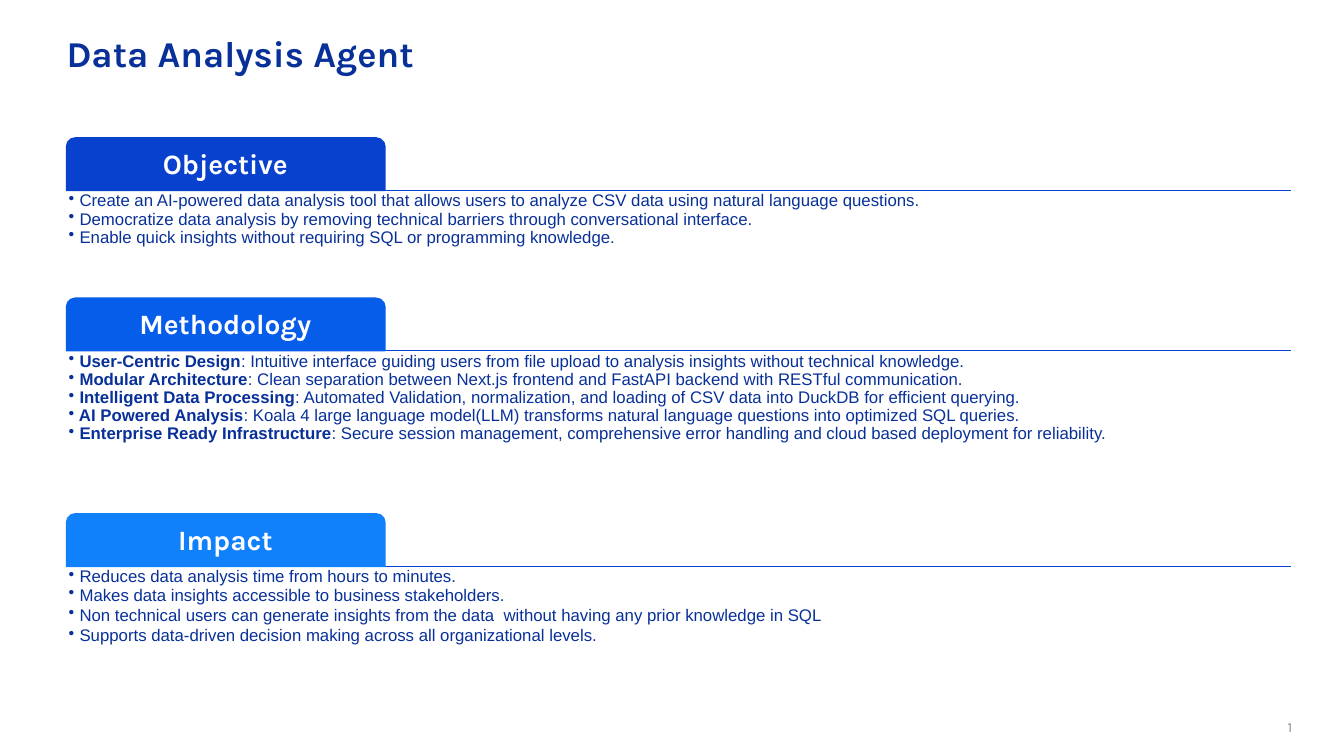
from lxml import etree
from pptx import Presentation
from pptx.dml.color import RGBColor
from pptx.enum import shapes, text
from pptx.oxml import ns
from pptx.util import Pt

NAVY = RGBColor(0x08, 0x30, 0x99)
ROYAL = RGBColor(0x08, 0x41, 0xCD)
BLUE = RGBColor(0x06, 0x5D, 0xEA)
SKY = RGBColor(0x10, 0x80, 0xFB)
WHITE = RGBColor(0xFF, 0xFF, 0xFF)
GREY = RGBColor(0x88, 0x88, 0x88)

LEFT, WIDTH = 47.5, 875
TAB_WIDTH, TAB_HEIGHT = 227.5, 37.5

# Heading, tab colour, rule position, body height, bullets as
# (bold lead, text, space before)
SECTIONS = [
    ("Objective", ROYAL, 136, 75, [
        ("", "Create an AI-powered data analysis tool that allows users to analyze CSV data using natural language questions.", 0),
        ("", "Democratize data analysis by removing technical barriers through conversational interface.", 0),
        ("", "Enable quick insights without requiring SQL or programming knowledge.", 0),
    ]),
    ("Methodology", BLUE, 250.5, 114.5, [
        ("User-Centric Design", ": Intuitive interface guiding users from file upload to analysis insights without technical knowledge.", 0),
        ("Modular Architecture", ": Clean separation between Next.js frontend and FastAPI backend with RESTful communication.", 0),
        ("Intelligent Data Processing", ": Automated Validation, normalization, and loading of CSV data into DuckDB for efficient querying.", 0),
        ("AI Powered Analysis", ": Koala 4 large language model(LLM) transforms natural language questions into optimized SQL queries.", 0),
        ("Enterprise Ready Infrastructure", ": Secure session management, comprehensive error handling and cloud based deployment for reliability.", 0),
    ]),
    ("Impact", SKY, 404.5, 121, [
        ("", "Reduces data analysis time from hours to minutes.", 0),
        ("", "Makes data insights accessible to business stakeholders.", 0),
        ("", "Non technical users can generate insights from the data  without having any prior knowledge in SQL", 1.6),
        ("", "Supports data-driven decision making across all organizational levels.", 1.6),
    ]),
]


def set_frame(frame, inset, anchor):
    settings = {"word_wrap": True, "auto_size": text.MSO_AUTO_SIZE.NONE,
                "vertical_anchor": anchor}
    for side in ("left", "top", "right", "bottom"):
        settings["margin_" + side] = Pt(inset)
    for name, value in settings.items():
        setattr(frame, name, value)


def add_words(paragraph, words, size, face, colour, bold):
    run = paragraph.add_run()
    run.text = words
    for name, value in {"size": Pt(size), "name": face, "bold": bold}.items():
        setattr(run.font, name, value)
    run.font.color.rgb = colour
    return run


deck = Presentation()
deck.slide_width, deck.slide_height = Pt(960), Pt(540)
slide = deck.slides.add_slide(deck.slide_layouts[5])

# Title
title = slide.shapes.title
title.left, title.top, title.width, title.height = Pt(LEFT), Pt(26), Pt(783.5), Pt(45.5)
set_frame(title.text_frame, 0, text.MSO_ANCHOR.TOP)
headline = title.text_frame.paragraphs[0]
headline.alignment = text.PP_ALIGN.LEFT
headline.line_spacing = 0.9
add_words(headline, "Data Analysis Agent", 26, "Karla", NAVY, True)

for heading, colour, rule_y, body_height, bullets in SECTIONS:
    # Rule under the tab
    rule = slide.shapes.add_connector(
        shapes.MSO_CONNECTOR.STRAIGHT, Pt(LEFT), Pt(rule_y), Pt(LEFT + WIDTH), Pt(rule_y))
    rule.line.color.rgb = ROYAL
    rule.line.width = Pt(1)
    etree.SubElement(rule._element.spPr, ns.qn("a:effectLst"))

    # Tab
    tab = slide.shapes.add_shape(
        shapes.MSO_SHAPE.ROUND_2_SAME_RECTANGLE,
        Pt(LEFT), Pt(rule_y - TAB_HEIGHT), Pt(TAB_WIDTH), Pt(TAB_HEIGHT))
    tab.adjustments[0] = 0.167
    tab.shadow.inherit = False
    tab.fill.solid()
    tab.fill.fore_color.rgb = colour
    tab.line.color.rgb = colour
    tab.line.width = Pt(1)

    # Heading on the tab
    label = slide.shapes.add_textbox(
        Pt(LEFT + 1.5), Pt(rule_y - TAB_HEIGHT + 2), Pt(TAB_WIDTH - 3.5), Pt(35.5))
    set_frame(label.text_frame, 3, text.MSO_ANCHOR.MIDDLE)
    caption = label.text_frame.paragraphs[0]
    caption.alignment = text.PP_ALIGN.CENTER
    caption.line_spacing = 0.9
    add_words(caption, heading, 20, "Karla", WHITE, True)

    # Bullets
    body = slide.shapes.add_textbox(Pt(LEFT), Pt(rule_y), Pt(WIDTH), Pt(body_height))
    set_frame(body.text_frame, 1.5, text.MSO_ANCHOR.TOP)
    for index, (lead, sentence, space) in enumerate(bullets):
        point = body.text_frame.paragraphs[0] if index == 0 else body.text_frame.add_paragraph()
        point.level = 1
        point.line_spacing = 0.9
        point.space_before = Pt(space)
        props = point._p.get_or_add_pPr()
        props.set("marL", str(Pt(4.5)))
        props.set("indent", str(Pt(-5.5)))
        bullet_colour = etree.SubElement(props, ns.qn("a:buClr"))
        etree.SubElement(bullet_colour, ns.qn("a:srgbClr"), val=str(NAVY))
        etree.SubElement(props, ns.qn("a:buChar"), char="•")
        if lead:
            add_words(point, " " + lead, 12, "Arial", NAVY, True)
        add_words(point, sentence if lead else " " + sentence, 12, "Arial", NAVY, False)

# Slide number, as a live field
number = slide.shapes.add_textbox(Pt(883.5), Pt(513.5), Pt(39.5), Pt(12))
set_frame(number.text_frame, 0, text.MSO_ANCHOR.MIDDLE)
page = number.text_frame.paragraphs[0]
page.alignment = text.PP_ALIGN.RIGHT
field = add_words(page, "1", 10, "Karla", GREY, False)._r
field.tag = ns.qn("a:fld")
field.set("id", "{B6F15528-21DE-4FAA-801E-634DDDAF4B2B}")
field.set("type", "slidenum")

deck.save("out.pptx")
